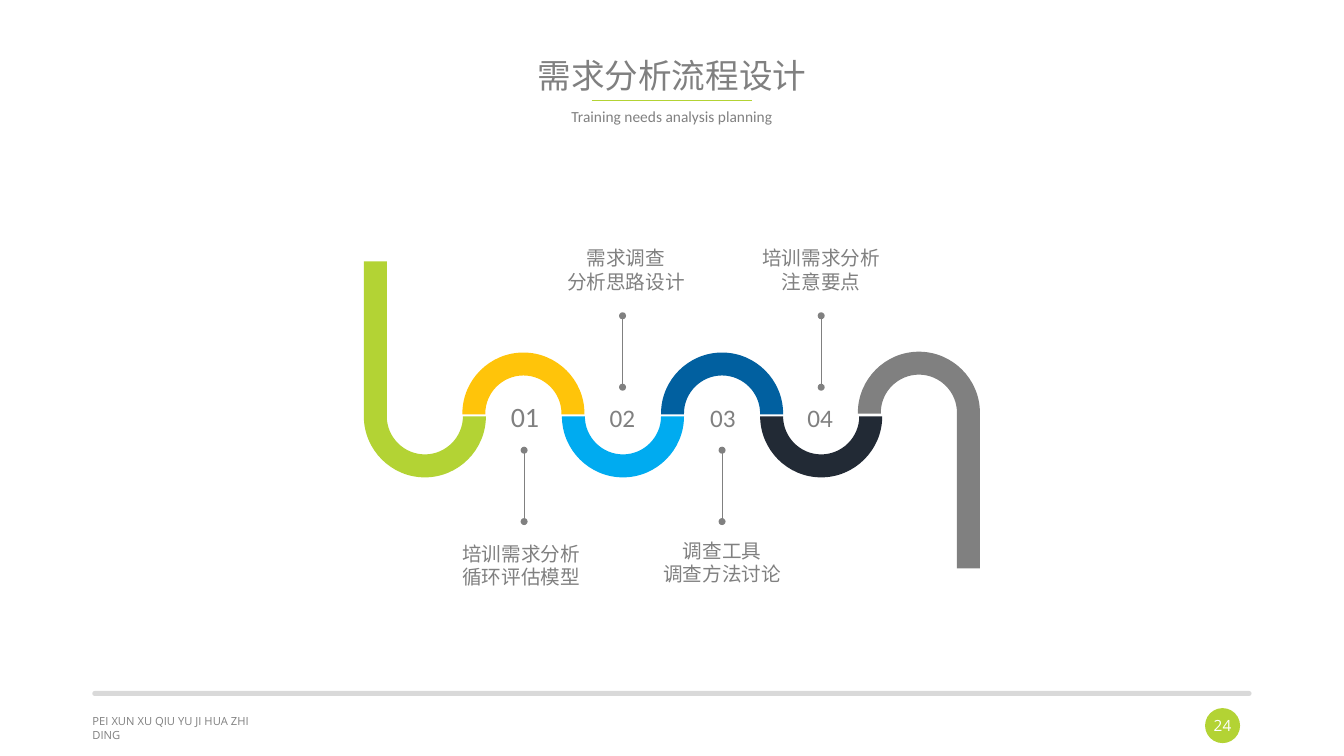
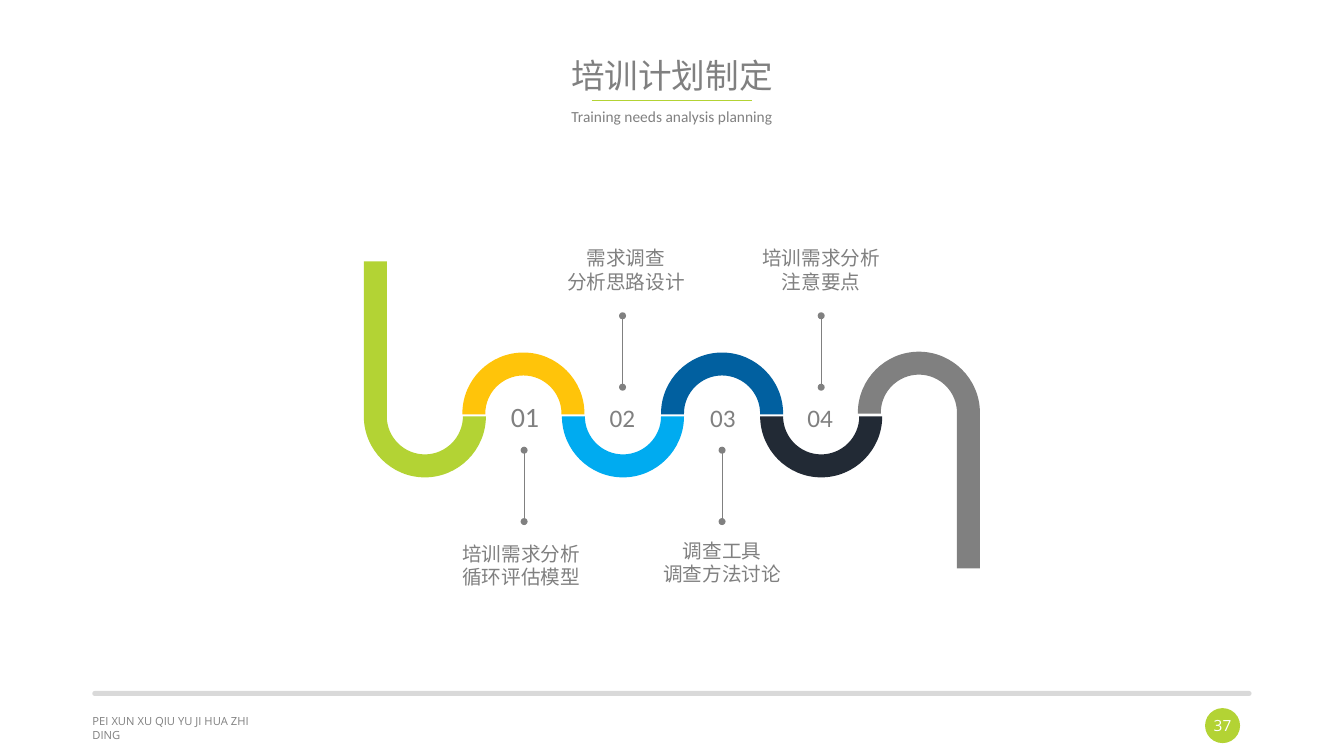
from lxml import etree
from pptx import Presentation
from pptx.dml.color import RGBColor
from pptx.enum.shapes import MSO_CONNECTOR, MSO_SHAPE
from pptx.enum.text import MSO_ANCHOR, MSO_AUTO_SIZE, PP_ALIGN
from pptx.oxml.ns import qn
from pptx.util import Pt

GREEN = RGBColor(0xB3, 0xD3, 0x34)
YELLOW = RGBColor(0xFF, 0xC4, 0x0A)
SKY = RGBColor(0x00, 0xAB, 0xF0)
BLUE = RGBColor(0x01, 0x60, 0xA0)
NAVY = RGBColor(0x22, 0x2A, 0x35)
GRAY = RGBColor(0x80, 0x80, 0x80)
RULE = RGBColor(0xD9, 0xD9, 0xD9)
WHITE = RGBColor(0xFF, 0xFF, 0xFF)
OVAL, ROUNDED = MSO_SHAPE.OVAL, MSO_SHAPE.ROUNDED_RECTANGLE
STRAIGHT = MSO_CONNECTOR.STRAIGHT
LEFT, CENTER = PP_ALIGN.LEFT, PP_ALIGN.CENTER
MIDDLE, NO_FIT = MSO_ANCHOR.MIDDLE, MSO_AUTO_SIZE.NONE
BODY_FONT, FOOTER_FONT = "Calibri", "Open Sans"

OUTER, INNER = 43.6, 27.2   # radii of the ribbon
CURVE = 0.55                # Bezier handle of a quarter circle
DOT = 5

SLIDES = [("需求分析流程设计", "24"), ("培训计划制定", "37")]

# centre x, centre y, direction (1 bends down, -1 up), left end y, right end y
RIBBON = [
    (656.4, 294.8, -1, 295.4, 406, GRAY),
    (373.9, 295.4, -1, 296, 296, YELLOW),
    (445, 297.4, 1, 297.4, 297.4, SKY),
    (515.8, 295.4, -1, 296, 296, BLUE),
    (586.6, 297.4, 1, 297.4, 297.4, NAVY),
    (303.5, 297.4, 1, 186.8, 297.4, GREEN),
]

# number, number x, number y, size, line x, line y, label x, label y, label
STEP_NOTES = [
    ("01", 375, 281.5, 20, 374.4, 321.6, 372.4, 383.3, "培训需求分析\n循环评估模型"),
    ("02", 444.6, 283.7, 18, 444.7, 225.6, 447.2, 172.2, "需求调查\n分析思路设计"),
    ("03", 516.4, 283.7, 18, 515.8, 321.6, 515.9, 381.3, "调查工具\n调查方法讨论"),
    ("04", 585.8, 283.7, 18, 586.6, 225.6, 586.6, 172.2, "培训需求分析\n注意要点"),
]
LINE_LENGTH = 51


def set_text(shape, text, size, color=GRAY, font=BODY_FONT, align=CENTER, spacing=None):
    tf = shape.text_frame
    tf.text = text
    tf.word_wrap = True
    tf.auto_size = NO_FIT
    for p in tf.paragraphs:
        p.alignment = align
        p.line_spacing = spacing
        for r in p.runs:
            r.font.size = Pt(size)
            r.font.name = font
            r.font.color.rgb = color


def paint(shape, color):
    shape.shadow.inherit = False
    shape.fill.solid()
    shape.fill.fore_color.rgb = color
    shape.line.fill.background()


prs = Presentation()
prs.slide_width, prs.slide_height = Pt(960), Pt(540)

for title, page in SLIDES:
    s = prs.slides.add_slide(prs.slide_layouts[5])
    shapes = s.shapes

    # Title and subtitle
    sp = shapes.title
    sp.left, sp.top, sp.width, sp.height = Pt(66), Pt(24.5), Pt(828), Pt(62)
    set_text(sp, title, 24, spacing=0.9)
    sp.text_frame.vertical_anchor = MIDDLE
    sp = shapes.add_textbox(Pt(66), Pt(74.2), Pt(828), Pt(42))
    set_text(sp, "Training needs analysis planning", 11, spacing=0.9)

    # Footer
    sp = shapes.add_shape(ROUNDED, Pt(66), Pt(493.5), Pt(828), Pt(3.6))
    sp.adjustments[0] = 0.5
    paint(sp, RULE)
    sp = shapes.add_textbox(Pt(59), Pt(507), Pt(128), Pt(17.3))
    set_text(sp, "PEI XUN XU QIU YU JI HUA ZHI DING", 8, font=FOOTER_FONT, align=LEFT)
    sp = shapes.add_shape(OVAL, Pt(860.8), Pt(505.8), Pt(25), Pt(25))
    paint(sp, GREEN)
    set_text(sp, page, 11, WHITE, FOOTER_FONT)
    tf = sp.text_frame
    tf.margin_left = tf.margin_right = tf.margin_top = tf.margin_bottom = 0
    tf.vertical_anchor = MIDDLE

    # Winding ribbon
    for cx, cy, bend, left_y, right_y, color in RIBBON:
        outline = [(cx - OUTER, left_y), (cx - OUTER, cy), (cx, cy + bend * OUTER),
                   (cx + OUTER, cy), (cx + OUTER, right_y),
                   (cx + INNER, right_y), (cx + INNER, cy), (cx, cy + bend * INNER),
                   (cx - INNER, cy), (cx - INNER, left_y)]
        points = [(Pt(x), Pt(y)) for x, y in outline]
        builder = shapes.build_freeform(*points[0])
        builder.add_line_segments(points[1:], close=True)
        sp = builder.convert_to_shape()
        paint(sp, color)

        # Turn the four straight pieces at the bend into quarter circles
        nodes = list(sp._element.iter(qn("a:pt")))
        places = [(int(pt.get("x")), int(pt.get("y"))) for pt in nodes]
        for i in (2, 3, 7, 8):
            start, end = places[i - 1], places[i]
            corner = (start[0], end[1]) if i in (2, 7) else (end[0], start[1])
            piece = nodes[i].getparent()
            piece.tag = qn("a:cubicBezTo")
            for n, anchor in enumerate((start, end)):
                x, y = (round(a + CURVE * (c - a)) for a, c in zip(anchor, corner))
                piece.insert(n, etree.Element(qn("a:pt"), x=str(x), y=str(y)))

    # Title rule and pointer lines
    lines = [(422.6, 71.5, 537.4, 71.5, GREEN)]
    lines += [(x, y, x, y + LINE_LENGTH, GRAY) for _, _, _, _, x, y, *_ in STEP_NOTES]
    for x1, y1, x2, y2, color in lines:
        line = shapes.add_connector(STRAIGHT, Pt(x1), Pt(y1), Pt(x2), Pt(y2))
        line.line.color.rgb = color
        line.line.width = Pt(0.5)
        etree.SubElement(line._element.spPr, qn("a:effectLst"))

    # Numbers, line ends and labels
    for number, nx, ny, size, x, y, label_x, label_y, label in STEP_NOTES:
        sp = shapes.add_textbox(Pt(nx - 17.5), Pt(ny), Pt(35), Pt(30))
        set_text(sp, number, size)
        for end_y in (y, y + LINE_LENGTH):
            sp = shapes.add_shape(OVAL, Pt(x - DOT / 2), Pt(end_y - DOT / 2), Pt(DOT), Pt(DOT))
            paint(sp, GRAY)
        sp = shapes.add_textbox(Pt(label_x - 50), Pt(label_y), Pt(100), Pt(41))
        set_text(sp, label, 14)

prs.save("out.pptx")
